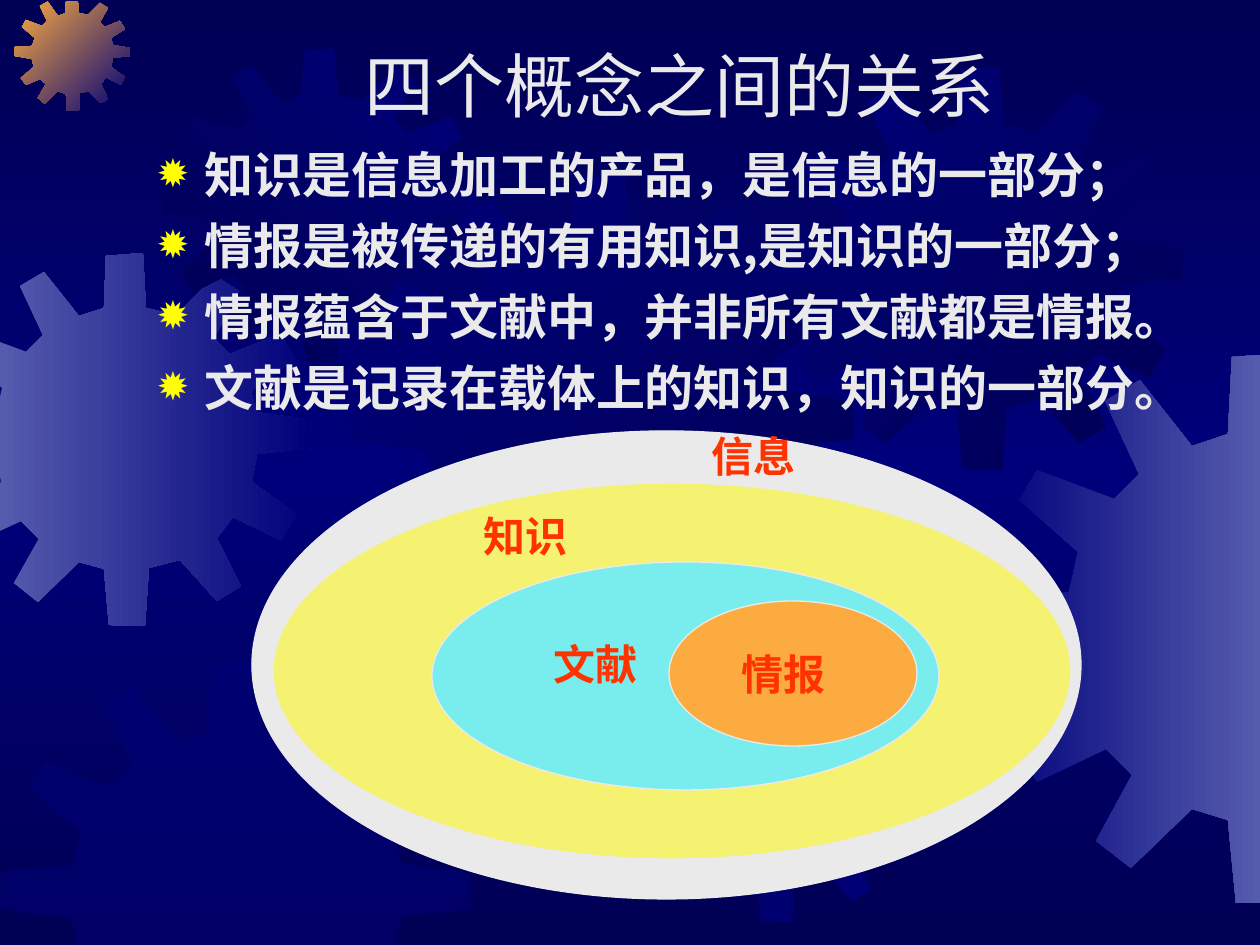
import copy
from dataclasses import dataclass

import pptx
import pptx.dml.color
import pptx.enum.shapes
import pptx.enum.text
import pptx.oxml.ns
import pptx.util
from lxml import etree

SCALE = 914400 / 126
PAGE_WIDTH, PAGE_HEIGHT = 1260, 945


@dataclass(frozen=True)
class Theme:
    night: str = "000054"
    navy: str = "00007A"
    steel: str = "555BAD"
    orange: str = "FCAB40"
    yellow: str = "F5F271"
    cyan: str = "79EDED"
    pale: str = "EAEAEA"
    red: str = "FF3300"
    bullet: str = "FFFF00"
    east_asian: str = "Noto Sans CJK SC"
    title_size: int = 40
    body_size: int = 28
    label_size: int = 24


theme = Theme()
rgb = pptx.dml.color.RGBColor.from_string
qn = pptx.oxml.ns.qn
MIDDLE = pptx.enum.text.MSO_ANCHOR.MIDDLE


def clip(points, axis, limit, sign):
    kept = []
    for start, end in zip(points, points[1:] + points[:1]):
        start_gap = sign * (limit - start[axis])
        end_gap = sign * (limit - end[axis])
        if start_gap >= 0:
            kept.append(start)
        if start_gap * end_gap < 0:
            share = start_gap / (start_gap - end_gap)
            kept.append(tuple(a + share * (b - a) for a, b in zip(start, end)))
    return kept


def style_text(para, font_name, size, color, bold):
    for span in para.runs:
        span.font.name = font_name
        span.font.size = pptx.util.Pt(size)
        span.font.bold = bold
        span.font.color.rgb = rgb(color)
        latin = span.font._element.find(qn("a:latin"))
        east_asian = etree.Element(qn("a:ea"), typeface=theme.east_asian)
        latin.addnext(east_asian)


deck = pptx.Presentation()
deck.slide_width = pptx.util.Inches(10)
deck.slide_height = pptx.util.Inches(7.5)
page = deck.slides.add_slide(deck.slide_layouts[1])

backdrop = page.background.fill
backdrop.gradient()
backdrop.gradient_angle = 270
for stop in backdrop.gradient_stops:
    stop.color.rgb = rgb(theme.night)
stop_list = page.element.xpath(".//p:bg//a:gsLst")[0]
stop_list.insert(1, copy.deepcopy(stop_list[0]))
middle_stop = backdrop.gradient_stops[1]
middle_stop.position = 0.5
middle_stop.color.rgb = rgb(theme.navy)

GEAR_SIZE = 401
gear_outline = [
    (255, 67), (223, 59), (219, 0), (180, 3), (177, 59), (151, 68),
    (113, 20), (87, 35), (112, 88), (94, 106), (38, 85), (25, 107),
    (68, 145), (61, 174), (1, 178), (0, 210), (61, 219), (67, 246),
    (22, 287), (38, 312), (88, 288), (107, 307), (81, 355), (106, 375),
    (151, 332), (177, 340), (183, 400), (222, 401), (226, 339), (259, 330),
    (299, 374), (325, 358), (299, 306), (316, 284), (368, 309), (384, 281),
    (336, 246), (342, 216), (401, 210), (400, 180), (341, 171), (335, 148),
    (383, 114), (367, 87), (313, 109), (296, 91), (323, 41), (297, 25),
]
gears = [
    (-61, 253, 373, theme.steel, theme.navy, 0),
    (15, -4, 115, theme.orange, theme.navy, 45),
    (164, 49, 312, theme.night, theme.navy, 315),
    (349, 175, 505, theme.navy, theme.night, 45),
    (0, 662, 471, theme.navy, None, 0),
    (619, 610, 312, theme.night, theme.navy, 45),
    (779, 67, 403, theme.navy, theme.night, 45),
    (985, 353, 551, theme.navy, theme.steel, 0),
]
page_edges = [(0, 0, -1), (0, PAGE_WIDTH, 1), (1, 2, -1), (1, PAGE_HEIGHT, 1)]
for left, top, size, first, last, angle in gears:
    ratio = size / GEAR_SIZE
    points = [(left + x * ratio, top + y * ratio) for x, y in gear_outline]
    for axis, limit, sign in page_edges:
        points = clip(points, axis, limit, sign)
    points = [(round(x), round(y)) for x, y in points]
    builder = page.shapes.build_freeform(*points[0], scale=SCALE)
    builder.add_line_segments(points[1:], close=True)
    gear = builder.convert_to_shape()
    gear.shadow.inherit = False
    gear.line.fill.background()
    if last:
        gear.fill.gradient()
        gear.fill.gradient_angle = (360 - angle) % 360
        for stop, color in zip(gear.fill.gradient_stops, (first, last)):
            stop.color.rgb = rgb(color)
    else:
        gear.fill.solid()
        gear.fill.fore_color.rgb = rgb(first)
        solid_color = gear.element.xpath(".//a:srgbClr")[0]
        etree.SubElement(solid_color, qn("a:alpha"), val="50000")

title = page.shapes.title
body = page.placeholders[1]
for box, top, height in ((title, 35, 98), (body, 138, 290)):
    box.left, box.top, box.width, box.height = (
        round(length * SCALE) for length in (144, top, 1071, height))
    box.text_frame.word_wrap = True
    box.text_frame.auto_size = pptx.enum.text.MSO_AUTO_SIZE.NONE
    box.element.getparent().append(box.element)

title.text_frame.text = "四个概念之间的关系"
title.text_frame.vertical_anchor = MIDDLE
title.text_frame.paragraphs[0].alignment = pptx.enum.text.PP_ALIGN.CENTER
style_text(title.text_frame.paragraphs[0], "Arial", theme.title_size, theme.pale, False)

statements = [
    "知识是信息加工的产品，是信息的一部分；",
    "情报是被传递的有用知识,是知识的一部分；",
    "情报蕴含于文献中，并非所有文献都是情报。",
    "文献是记录在载体上的知识，知识的一部分。",
]
body.text_frame.text = "\n".join(statements)
body.text_frame.vertical_anchor = pptx.enum.text.MSO_ANCHOR.TOP
for index, para in enumerate(body.text_frame.paragraphs):
    properties = para._p.get_or_add_pPr()
    indent = round(48 * SCALE)
    properties.set("marL", str(indent))
    properties.set("indent", str(-indent))
    bullet_color = etree.SubElement(properties, qn("a:buClr"))
    etree.SubElement(bullet_color, qn("a:srgbClr"), val=theme.bullet)
    etree.SubElement(properties, qn("a:buSzPct"), val="80000")
    etree.SubElement(properties, qn("a:buChar"), char="✹")
    para.line_spacing = pptx.util.Pt(33.6)
    para.space_before = pptx.util.Pt(7 if index else 0)
    style_text(para, theme.east_asian, theme.body_size, theme.pale, True)

ellipses = [
    (252, 431, 829, 468, theme.pale),
    (273, 483, 798, 376, theme.yellow),
    (432, 562, 507, 228, theme.cyan),
    (669, 601, 248, 145, theme.orange),
]
for left, top, width, height, color in ellipses:
    ellipse = page.shapes.add_shape(
        pptx.enum.shapes.MSO_SHAPE.OVAL,
        *(round(length * SCALE) for length in (left, top, width, height)))
    ellipse.shadow.inherit = False
    ellipse.fill.solid()
    ellipse.fill.fore_color.rgb = rgb(color)
    ellipse.line.color.rgb = rgb(theme.pale)
    ellipse.line.width = pptx.util.Pt(0.75)

labels = [
    ("知识", 471, 503, 199, "Times New Roman"),
    ("文献", 541, 631, 118, "Times New Roman"),
    ("信息", 699, 423, 199, "Times New Roman"),
    ("情报", 729, 641, 129, "Arial Narrow"),
]
for text, left, top, width, font_name in labels:
    box = page.shapes.add_textbox(
        *(round(length * SCALE) for length in (left, top, width, 63)))
    frame = box.text_frame
    frame.word_wrap = True
    frame.margin_top = frame.margin_bottom = 0
    frame.vertical_anchor = MIDDLE
    frame.text = text
    para = frame.paragraphs[0]
    para.line_spacing = pptx.util.Pt(30)
    style_text(para, font_name, theme.label_size, theme.red, True)

deck.save("out.pptx")
